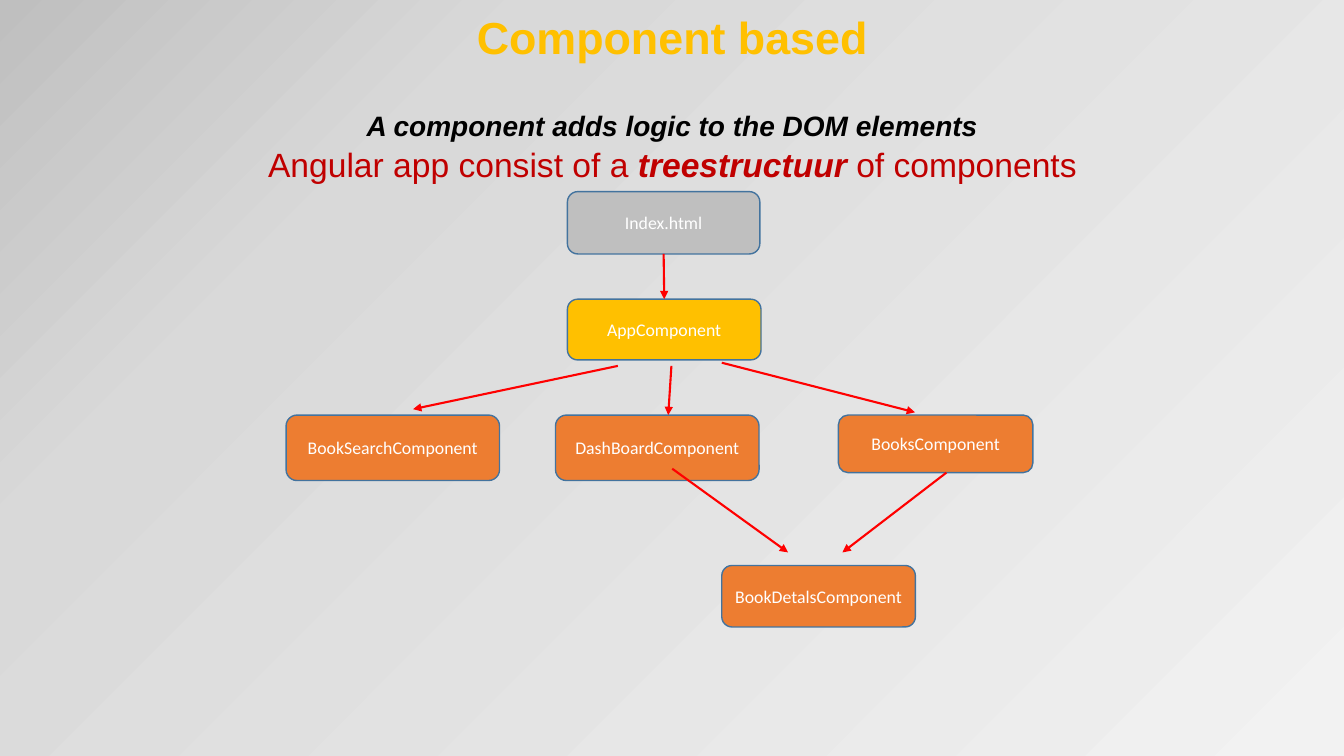
from lxml import etree
from pptx import Presentation
from pptx.dml.color import RGBColor
from pptx.enum.shapes import MSO_CONNECTOR, MSO_SHAPE
from pptx.enum.text import MSO_ANCHOR, MSO_AUTO_SIZE, PP_ALIGN
from pptx.oxml.ns import qn
from pptx.util import Cm, Pt

ROUND = MSO_SHAPE.ROUNDED_RECTANGLE
LINE = MSO_CONNECTOR.STRAIGHT
MIDDLE = MSO_ANCHOR.MIDDLE
CENTER = PP_ALIGN.CENTER
FIXED = MSO_AUTO_SIZE.NONE
TOP, BOTTOM = 0, 2

GOLD, ORANGE, GREY = "FFC000", "ED7D31", "BFBFBF"
WHITE, BLACK, RED, CRIMSON = "FFFFFF", "000000", "FF0000", "C00000"
EDGE = "43739E"


def color(code):
    return RGBColor.from_string(code)


def sub(parent, tag, **attrs):
    return etree.SubElement(parent, qn(tag), **attrs)


class Deck:
    head, body = "Arial", "Calibri"

    def __init__(self):
        self.prs = Presentation()
        self.prs.slide_width, self.prs.slide_height = Cm(33.87), Cm(19.05)
        self.slide = self.prs.slides.add_slide(self.prs.slide_layouts[5])

    def back(self, stops):
        self.slide.background.fill.gradient()
        grad = self.slide.element.find(".//" + qn("a:gradFill"))
        for child in list(grad):
            grad.remove(child)
        group = sub(grad, "a:gsLst")
        for pos, code in stops:
            stop = sub(group, "a:gs", pos=str(pos * 1000))
            sub(stop, "a:srgbClr", val=code)
        shade = sub(grad, "a:path", path="circle")
        sub(shade, "a:fillToRect", l="100000", t="100000")

    def run(self, para, text, font, size, code, bold=False, slant=False):
        run = para.add_run()
        run.text = text
        run.font.name, run.font.size = font, Pt(size)
        run.font.bold, run.font.italic = bold, slant
        run.font.color.rgb = color(code)

    def title(self, left, top, width, height, lines):
        shape = self.slide.shapes.title
        shape.left, shape.top = Cm(left), Cm(top)
        shape.width, shape.height = Cm(width), Cm(height)
        frame = shape.text_frame
        frame.word_wrap, frame.auto_size = True, FIXED
        frame.vertical_anchor = MIDDLE
        frame.margin_top, frame.margin_bottom = Cm(0.25), Cm(1)
        for i, (gap, runs) in enumerate(lines):
            para = frame.add_paragraph() if i else frame.paragraphs[0]
            para.alignment, para.line_spacing = CENTER, 0.9
            para.space_before = Pt(gap)
            for run in runs:
                self.run(para, run[0], self.head, *run[1:])

    def box(self, left, top, width, height, text, fill):
        shape = self.slide.shapes.add_shape(
            ROUND, Cm(left), Cm(top), Cm(width), Cm(height))
        shape.shadow.inherit = False
        shape.fill.solid()
        shape.fill.fore_color.rgb = color(fill)
        shape.line.color.rgb = color(EDGE)
        shape.line.width = Pt(1)
        shape.text_frame.vertical_anchor = MIDDLE
        para = shape.text_frame.paragraphs[0]
        para.alignment = CENTER
        self.run(para, text, self.body, 12.7, WHITE)
        return shape

    def arrow(self, x1=0, y1=0, x2=0, y2=0):
        link = self.slide.shapes.add_connector(
            LINE, Cm(x1), Cm(y1), Cm(x2), Cm(y2))
        link.line.color.rgb = color(RED)
        link.line.width = Pt(1.5)
        sub(link.line._get_or_add_ln(), "a:tailEnd", type="triangle")
        sub(link._element.spPr, "a:effectLst")
        return link


def main():
    deck = Deck()
    deck.back([(0, "F2F2F2"), (74, "D9D9D9"), (100, "BFBFBF"),
               (100, "A6A6A6")])

    # Title and its two statements
    deck.title(6.1, 0.79, 21.69, 4.22, [
        (0, [("Component based", 32, GOLD, True)]),
        (34, [("A component adds logic to the DOM elements",
               20, BLACK, True, True)]),
        (4, [("Angular app consist of a ", 24, CRIMSON),
             ("treestructuur", 24, CRIMSON, True, True),
             (" of components", 24, CRIMSON)]),
    ])

    # Component tree
    index = deck.box(14.3, 4.83, 4.85, 1.57, "Index.html", GREY)
    app = deck.box(14.3, 7.54, 4.88, 1.53, "AppComponent", GOLD)
    row = 10.46
    deck.box(7.21, row, 5.38, 1.65, "BookSearchComponent", ORANGE)
    deck.box(14, row, 5.13, 1.65, "DashBoardComponent", ORANGE)
    deck.box(21.13, row, 4.9, 1.45, "BooksComponent", ORANGE)
    deck.box(18.19, 14.25, 4.88, 1.55, "BookDetalsComponent", ORANGE)

    # Arrows from parent to child
    link = deck.arrow()
    link.begin_connect(index, BOTTOM)
    link.end_connect(app, TOP)
    for ends in [(15.57, 9.22, 10.41, 10.31), (16.92, 9.22, 16.84, row),
                 (18.19, 9.14, 23.06, 10.39), (16.94, 11.81, 19.86, 13.92),
                 (23.85, 11.91, 21.23, 13.92)]:
        deck.arrow(*ends)

    deck.prs.save("out.pptx")


if __name__ == "__main__":
    main()
